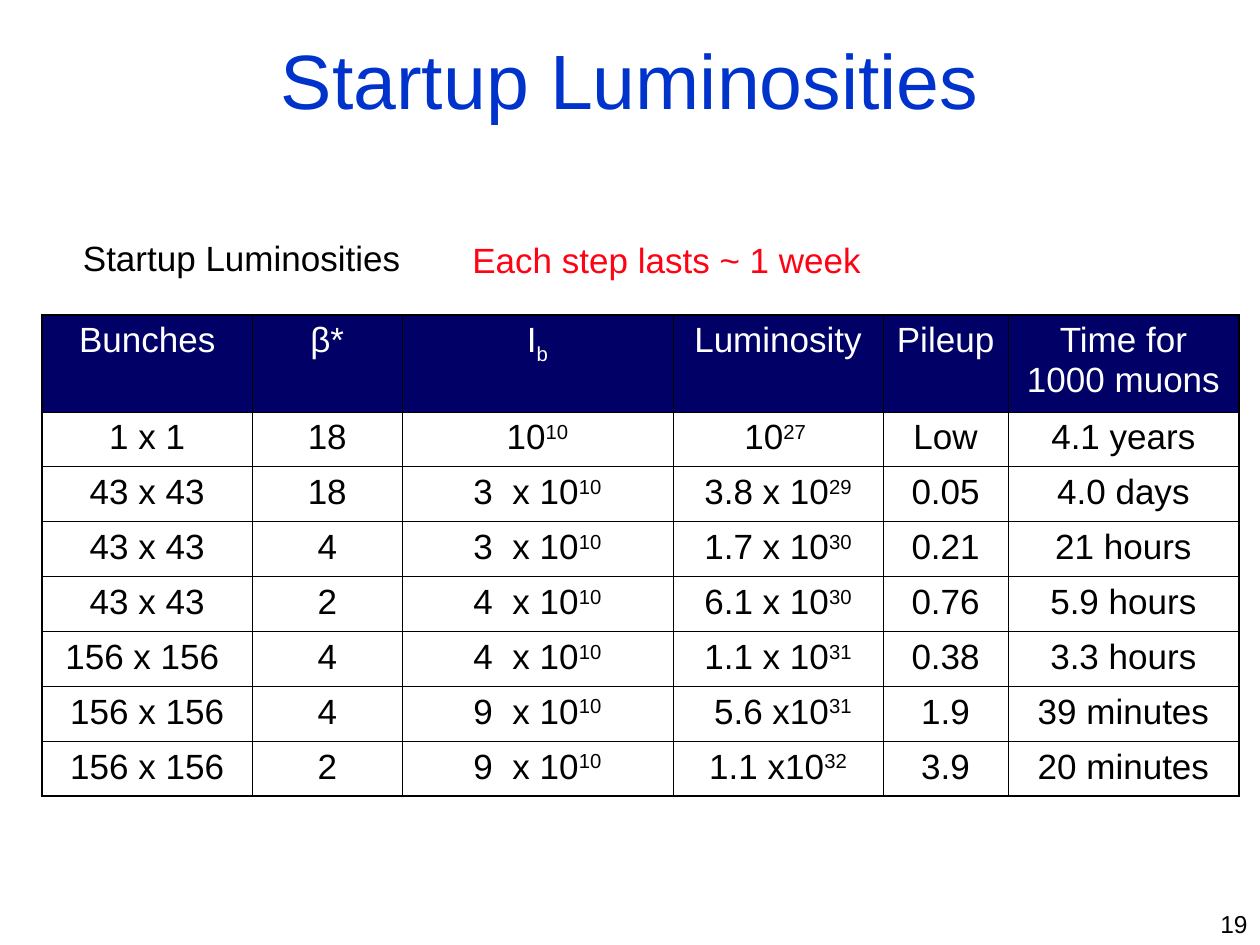
from dataclasses import dataclass

from lxml import etree
from pptx import Presentation
from pptx.dml.color import RGBColor
from pptx.enum import text
from pptx.oxml import ns
from pptx.util import Pt

TITLE = "Startup Luminosities"
CAPTION = "Startup Luminosities"
PACE = "Each step lasts ~ 1 week"
PAGE = "19"

# "^" starts a superscript, "_" a subscript
ROWS = [
    ("Bunches", "β*", "I_b", "Luminosity", "Pileup", "Time for 1000 muons"),
    ("1 x 1", "18", "10^10", "10^27 ", "Low", "4.1 years"),
    ("43 x 43", "18", "3  x 10^10", "3.8 x 10^29", "0.05", "4.0 days"),
    ("43 x 43", "4", "3  x 10^10", "1.7 x 10^30", "0.21", "21 hours"),
    ("43 x 43", "2", "4  x 10^10", "6.1 x 10^30", "0.76", "5.9 hours"),
    ("156 x 156 ", "4", "4  x 10^10", "1.1 x 10^31", "0.38", "3.3 hours"),
    ("156 x 156", "4", "9  x 10^10", " 5.6 x10^31", "1.9", "39 minutes"),
    ("156 x 156", "2", "9  x 10^10", "1.1 x10^32", "3.9", "20 minutes"),
]
COL_WIDTHS = [120.25, 85.5, 154.75, 120.25, 71.25, 132]
HEADER_HEIGHT, ROW_HEIGHT = 55.4, 31.4
TABLE_LEFT, TABLE_TOP = 24, 180
BASELINES = {"^": "30000", "_": "-25000"}


@dataclass(frozen=True)
class Theme:
    font: str = "Arial"
    title_size: float = 44
    text_size: float = 20
    page_size: float = 14
    title: str = "0033CC"
    accent: str = "FF0214"
    ink: str = "000000"
    header_fill: str = "000066"
    header_text: str = "FFFFFF"
    grid_line: float = 0.45
    outer_line: float = 1.08


THEME = Theme()
ALIGN = text.PP_ALIGN


def write(tf, content, size=THEME.text_size, color=THEME.ink, align=ALIGN.LEFT):
    """Fill the first paragraph, turning ^ and _ marks into raised or lowered runs."""
    p = tf.paragraphs[0]
    p.alignment = align
    mark = next((m for m in BASELINES if m in content), None)
    base, _, script = content.partition(mark) if mark else (content, "", "")
    for part, baseline in ((base, None), (script, BASELINES.get(mark))):
        if not part:
            continue
        r = p.add_run()
        r.text = part
        r.font.name, r.font.size = THEME.font, Pt(size)
        r.font.color.rgb = RGBColor.from_string(color)
        if baseline:
            r.font._element.set("baseline", baseline)


def add_label(slide, content, left, top, width, height, wrap=True, **fmt):
    tf = slide.shapes.add_textbox(Pt(left), Pt(top), Pt(width), Pt(height)).text_frame
    tf.word_wrap = wrap
    write(tf, content, **fmt)


def set_borders(cell, outer_sides):
    tcPr = cell._tc.get_or_add_tcPr()
    for side in "LRTB":
        width = THEME.outer_line if side in outer_sides else THEME.grid_line
        ln = etree.SubElement(tcPr, ns.qn(f"a:ln{side}"), w=str(Pt(width)))
        fill = etree.SubElement(ln, ns.qn("a:solidFill"))
        etree.SubElement(fill, ns.qn("a:srgbClr"), val=THEME.ink)


def add_luminosity_table(slide):
    last_row, last_col = len(ROWS) - 1, len(COL_WIDTHS) - 1
    heights = [HEADER_HEIGHT] + [ROW_HEIGHT] * last_row
    table = slide.shapes.add_table(
        len(ROWS), len(COL_WIDTHS), Pt(TABLE_LEFT), Pt(TABLE_TOP),
        Pt(sum(COL_WIDTHS)), Pt(sum(heights))).table
    table.horz_banding = table.first_row = False
    for column, width in zip(table.columns, COL_WIDTHS):
        column.width = Pt(width)
    for i, (values, height) in enumerate(zip(ROWS, heights)):
        table.rows[i].height = Pt(height)
        for j, value in enumerate(values):
            cell = table.cell(i, j)
            edges = {"T": i == 0, "B": i == last_row, "L": j == 0, "R": j == last_col}
            set_borders(cell, [side for side, outer in edges.items() if outer])
            if i == 0:
                cell.fill.solid()
                cell.fill.fore_color.rgb = RGBColor.from_string(THEME.header_fill)
            else:
                cell.fill.background()
            write(cell.text_frame, value, align=ALIGN.CENTER,
                  color=THEME.ink if i else THEME.header_text)


def main():
    prs = Presentation()
    prs.slide_width, prs.slide_height = Pt(720), Pt(540)
    slide = prs.slides.add_slide(prs.slide_layouts.get_by_name("Title Only"))

    title = slide.shapes.title
    title.left, title.top, title.width, title.height = Pt(36), Pt(0), Pt(648), Pt(90)
    title.text_frame.vertical_anchor = text.MSO_ANCHOR.MIDDLE
    write(title.text_frame, TITLE, size=THEME.title_size, color=THEME.title,
          align=ALIGN.CENTER)

    add_label(slide, PACE, 262.8, 132.5, 240, 31.5, color=THEME.accent)
    add_label(slide, CAPTION, 40.3, 131.5, 196, 31.5, wrap=False)
    add_luminosity_table(slide)
    add_label(slide, PAGE, 552, 516, 168, 24, size=THEME.page_size, align=ALIGN.RIGHT)
    prs.save("out.pptx")


if __name__ == "__main__":
    main()
